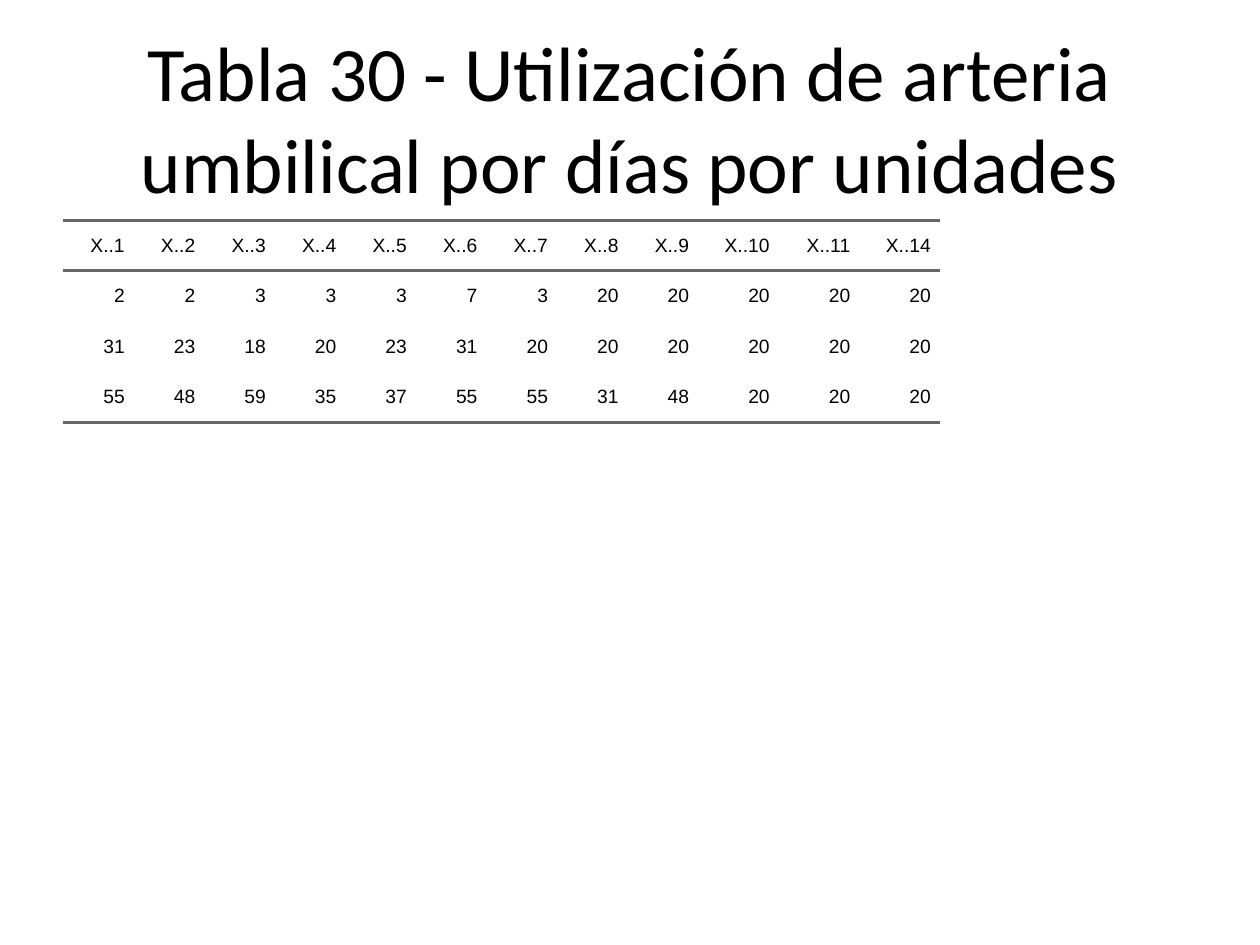
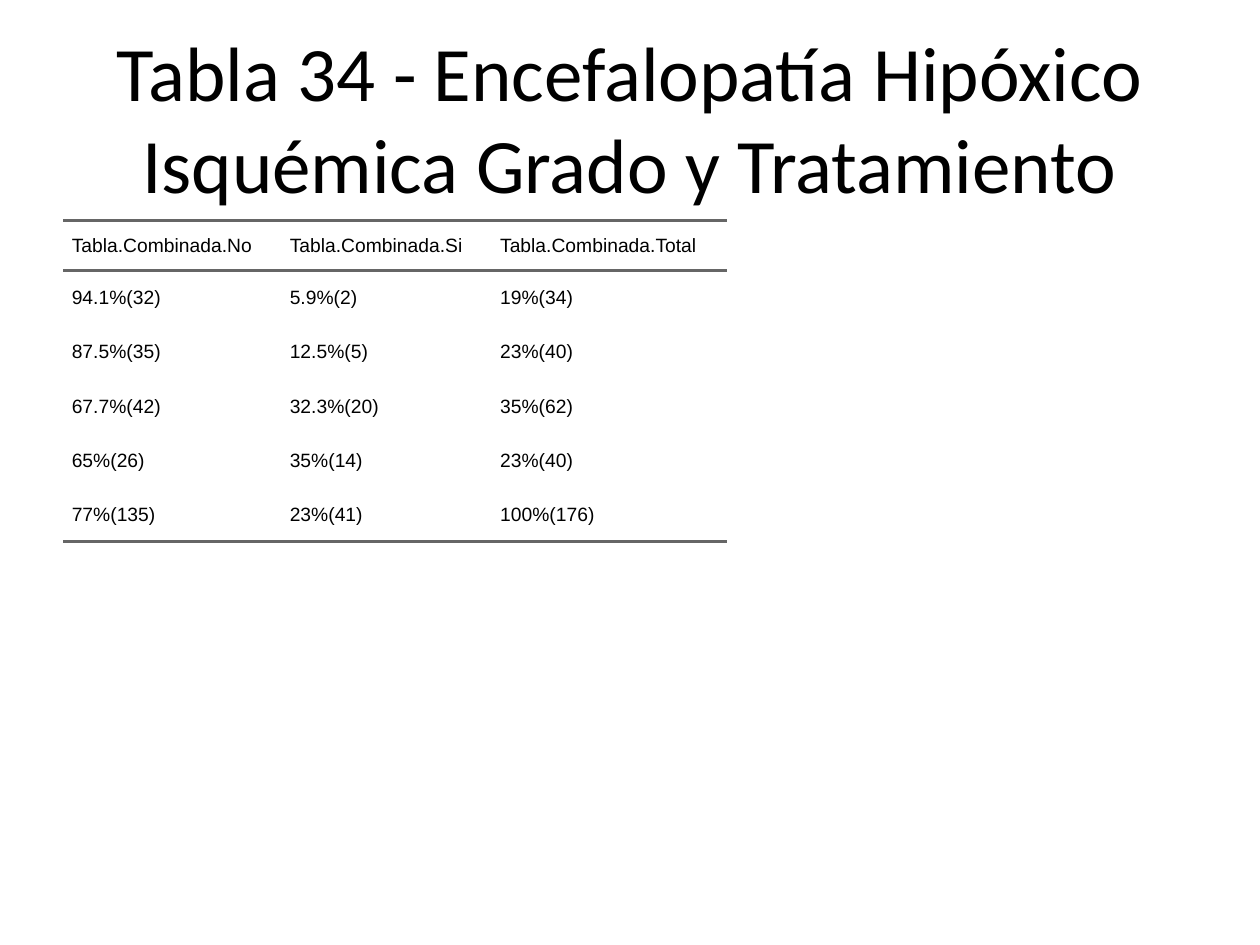
from lxml import etree
from pptx import Presentation
from pptx import util as u
from pptx.dml.color import RGBColor
from pptx.enum import text
from pptx.oxml.ns import qn

BLACK, RULE = "000000", "666666"
TITLE_FONT = {"name": "Calibri", "size": u.Pt(44)}
CELL_FONT = {"name": "Arial", "size": u.Pt(11)}
CELL_FORMAT = {
    "margin_left": u.Inches(0.07), "margin_right": u.Inches(0.07),
    "margin_top": 0, "margin_bottom": 0,
    "vertical_anchor": text.MSO_ANCHOR.MIDDLE,
}
TITLE_BOX = (0.5, 0.3, 9, 1.25)
TABLE_LEFT, TABLE_TOP = 0.5, 1.75
RULE_WIDTH = u.Pt(2)

DAYS_TABLE = {
    "title": "Tabla 30 - Utilización de arteria umbilical por días por unidades",
    "columns": [0.56] * 9 + [0.64] * 3,
    "heights": [0.4] * 4,
    "align": text.PP_ALIGN.RIGHT,
    "rows": [
        [f"X..{day}" for day in (*range(1, 12), 14)],
        [2, 2, 3, 3, 3, 7, 3, 20, 20, 20, 20, 20],
        [31, 23, 18, 20, 23, 31, 20, 20, 20, 20, 20, 20],
        [55, 48, 59, 35, 37, 55, 55, 31, 48, 20, 20, 20],
    ],
}
TREATMENT_TABLE = {
    "title": "Tabla 34 - Encefalopatía Hipóxico Isquémica Grado y Tratamiento",
    "columns": [1.73, 1.67, 1.87],
    "heights": [0.4] + [0.43] * 5,
    "align": text.PP_ALIGN.LEFT,
    "rows": [
        [f"Tabla.Combinada.{name}" for name in ("No", "Si", "Total")],
        ["94.1%(32)", "5.9%(2)", "19%(34)"],
        ["87.5%(35)", "12.5%(5)", "23%(40)"],
        ["67.7%(42)", "32.3%(20)", "35%(62)"],
        ["65%(26)", "35%(14)", "23%(40)"],
        ["77%(135)", "23%(41)", "100%(176)"],
    ],
}


def color(value):
    return RGBColor.from_string(value)


def apply_format(target, values):
    for name, value in values.items():
        setattr(target, name, value)


def write(paragraph, content, font, align):
    paragraph.alignment = align
    run = paragraph.add_run()
    run.text = str(content)
    apply_format(run.font, font)
    run.font.color.rgb = color(BLACK)


def set_borders(cell, ruled_sides):
    """Rule the given sides (T, B) and clear the others."""
    properties = cell._tc.get_or_add_tcPr()
    for side in "LRTB":
        line = etree.SubElement(properties, qn(f"a:ln{side}"), w=str(RULE_WIDTH))
        if side in ruled_sides:
            fill = etree.SubElement(line, qn("a:solidFill"))
            etree.SubElement(fill, qn("a:srgbClr"), val=RULE)
        else:
            etree.SubElement(line, qn("a:noFill"))


def add_title(slide, box, title):
    frame = slide.shapes.add_textbox(*map(u.Inches, box)).text_frame
    apply_format(frame, {"word_wrap": True,
                         "vertical_anchor": text.MSO_ANCHOR.MIDDLE})
    write(frame.paragraphs[0], title, TITLE_FONT, text.PP_ALIGN.CENTER)


def add_ruled_table(slide, left, top, content):
    rows, columns, heights = (content[key] for key in ("rows", "columns", "heights"))
    size = (left, top, sum(columns), sum(heights))
    table = slide.shapes.add_table(len(rows), len(columns),
                                   *map(u.Inches, size)).table
    apply_format(table, {"first_row": False, "horz_banding": False})
    for column, width in zip(table.columns, columns):
        column.width = u.Inches(width)
    for row, height in zip(table.rows, heights):
        row.height = u.Inches(height)

    # Rules above and below the header, and under the last row
    last = len(rows) - 1
    for row_index, values in enumerate(rows):
        sides = ("T" if row_index in (0, 1) else "") + ("B" if row_index in (0, last) else "")
        for column_index, value in enumerate(values):
            cell = table.cell(row_index, column_index)
            apply_format(cell, CELL_FORMAT)
            set_borders(cell, sides)
            cell.fill.background()
            write(cell.text_frame.paragraphs[0], value, CELL_FONT, content["align"])


def add_table_slide(presentation, content):
    slide = presentation.slides.add_slide(presentation.slide_layouts[6])
    add_title(slide, TITLE_BOX, content["title"])
    add_ruled_table(slide, TABLE_LEFT, TABLE_TOP, content)


def main():
    presentation = Presentation()
    presentation.slide_width = u.Inches(10)
    presentation.slide_height = u.Inches(7.5)
    for content in (DAYS_TABLE, TREATMENT_TABLE):
        add_table_slide(presentation, content)
    presentation.save("out.pptx")


if __name__ == "__main__":
    main()
